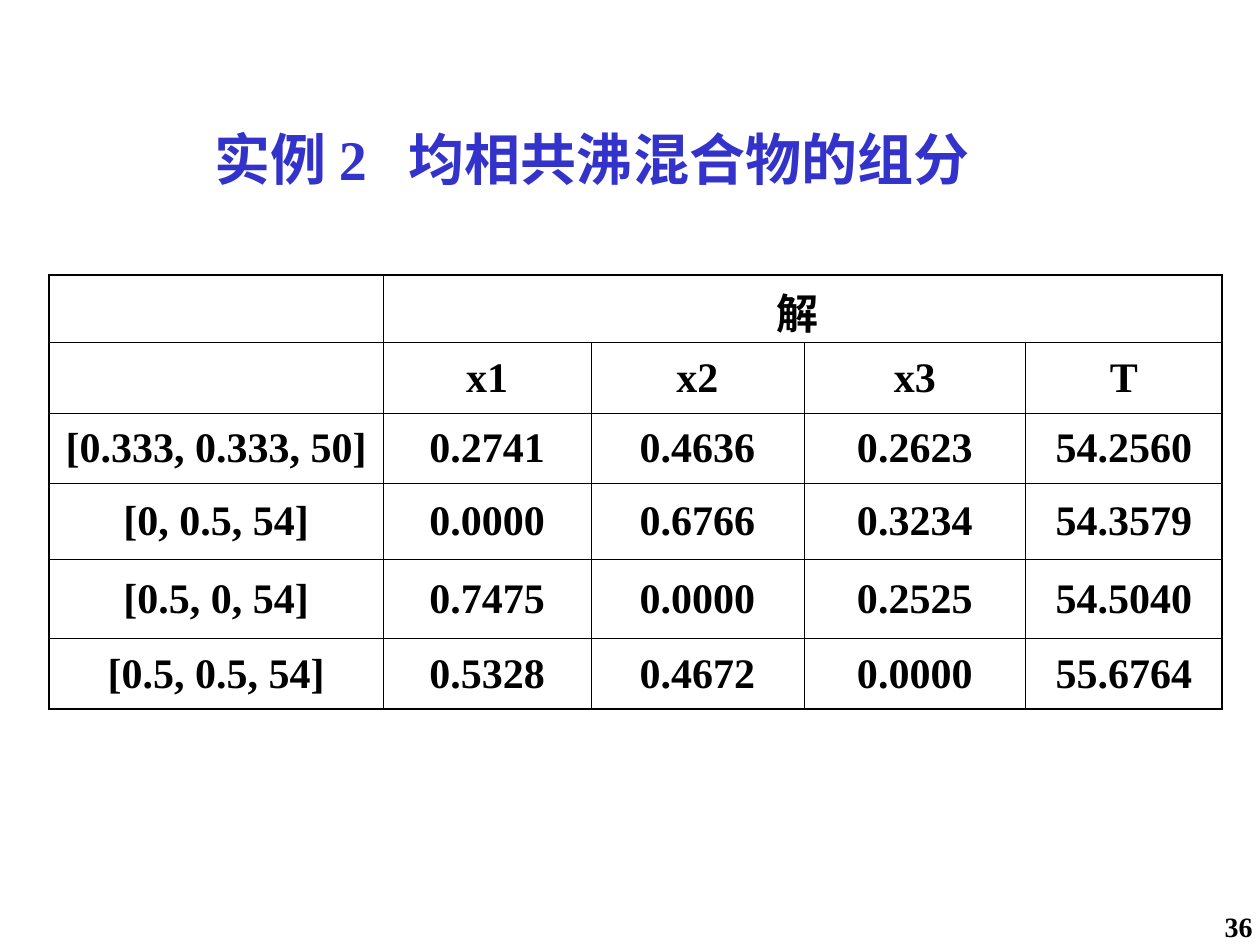
from pptx import Presentation, util as u
from pptx.dml.color import RGBColor
from pptx.enum import text as t
from pptx.oxml import parse_xml
from pptx.oxml.ns import nsdecls

# Content
TITLE = "实例 2   均相共沸混合物的组分"
PAGE = "36"
SOLUTIONS = [
    ["", "解 ", "", "", ""],
    ["", "x1", "x2", "x3", "T"],
    ["[0.333, 0.333, 50]", "0.2741", "0.4636", "0.2623", "54.2560"],
    ["[0, 0.5, 54]", "0.0000", "0.6766", "0.3234", "54.3579"],
    ["[0.5, 0, 54]", "0.7475", "0.0000", "0.2525", "54.5040"],
    ["[0.5, 0.5, 54]", "0.5328", "0.4672", "0.0000", "55.6764"],
]

# Look and grid, in inches and points
COLORS = {"title": "3333CC", "ink": "000000"}
FONT = "Times New Roman"
WIDTH, HEIGHT = 10, 7.5
COLUMNS = [2.65, 1.65, 1.69, 1.76, 1.56]
ROWS = [0.54, 0.56, 0.56, 0.6, 0.63, 0.56]
INNER, OUTER = 0.45, 1.08


def write(frame, words, size, color, align):
    frame.text = words
    paragraph = frame.paragraphs[0]
    paragraph.alignment = align
    for font in [paragraph.font] + [run.font for run in paragraph.runs]:
        font.name, font.size, font.bold = FONT, u.Pt(size), True
        font.color.rgb = RGBColor.from_string(COLORS[color])
    return paragraph


def add_text(slide, box, words, size, color, align, margins=(0.1, 0.05)):
    frame = slide.shapes.add_textbox(*map(u.Inches, box)).text_frame
    frame.margin_left = frame.margin_right = u.Inches(margins[0])
    frame.margin_top = frame.margin_bottom = u.Inches(margins[1])
    return frame, write(frame, words, size, color, align)


def set_borders(cell, widths):
    properties = cell._tc.get_or_add_tcPr()
    for place, (side, width) in enumerate(widths.items()):
        properties.insert(place, parse_xml(
            f'<a:{side} {nsdecls("a")} w="{u.Pt(width)}"><a:solidFill>'
            f'<a:srgbClr val="{COLORS["ink"]}"/></a:solidFill></a:{side}>'))


def add_solutions(slide):
    last_row, last_column = len(ROWS) - 1, len(COLUMNS) - 1
    box = map(u.Inches, (0.39, 2.18, sum(COLUMNS), sum(ROWS)))
    frame = slide.shapes.add_table(len(ROWS), len(COLUMNS), *box)
    table = frame.table
    table.first_row = table.horz_banding = False
    for column, width in zip(table.columns, COLUMNS):
        column.width = u.Inches(width)
    for row, height in zip(table.rows, ROWS):
        row.height = u.Inches(height)
    table.cell(0, 1).merge(table.cell(0, last_column))

    for r, values in enumerate(SOLUTIONS):
        for c, value in enumerate(values):
            cell = table.cell(r, c)
            write(cell.text_frame, value, 24, "ink", t.PP_ALIGN.CENTER)
            cell.vertical_anchor = t.MSO_ANCHOR.MIDDLE if r else t.MSO_ANCHOR.TOP
            cell.fill.background()
            edges = {"lnL": c == 0, "lnR": c == last_column or (r == 0 and c > 0),
                     "lnT": r == 0, "lnB": r == last_row}
            set_borders(cell, {side: OUTER if outer else INNER
                               for side, outer in edges.items()})


def main():
    deck = Presentation()
    deck.slide_width, deck.slide_height = u.Inches(WIDTH), u.Inches(HEIGHT)
    slide = deck.slides.add_slide(deck.slide_layouts[6])

    # Page number in the bottom right corner
    frame, number = add_text(slide, (WIDTH - 0.58, HEIGHT - 0.29, 0.58, 0.29), PAGE,
                             16, "ink", t.PP_ALIGN.RIGHT, (0.06, 0.01))
    frame.word_wrap = True
    number.space_before = u.Pt(10)

    # Title
    frame, _ = add_text(slide, (1.6, 0.99, 6.58, 0.53), TITLE,
                        32, "title", t.PP_ALIGN.LEFT)
    frame.word_wrap = False
    frame.vertical_anchor = t.MSO_ANCHOR.MIDDLE

    # Starting points and their solutions
    add_solutions(slide)
    deck.save("out.pptx")


if __name__ == "__main__":
    main()
